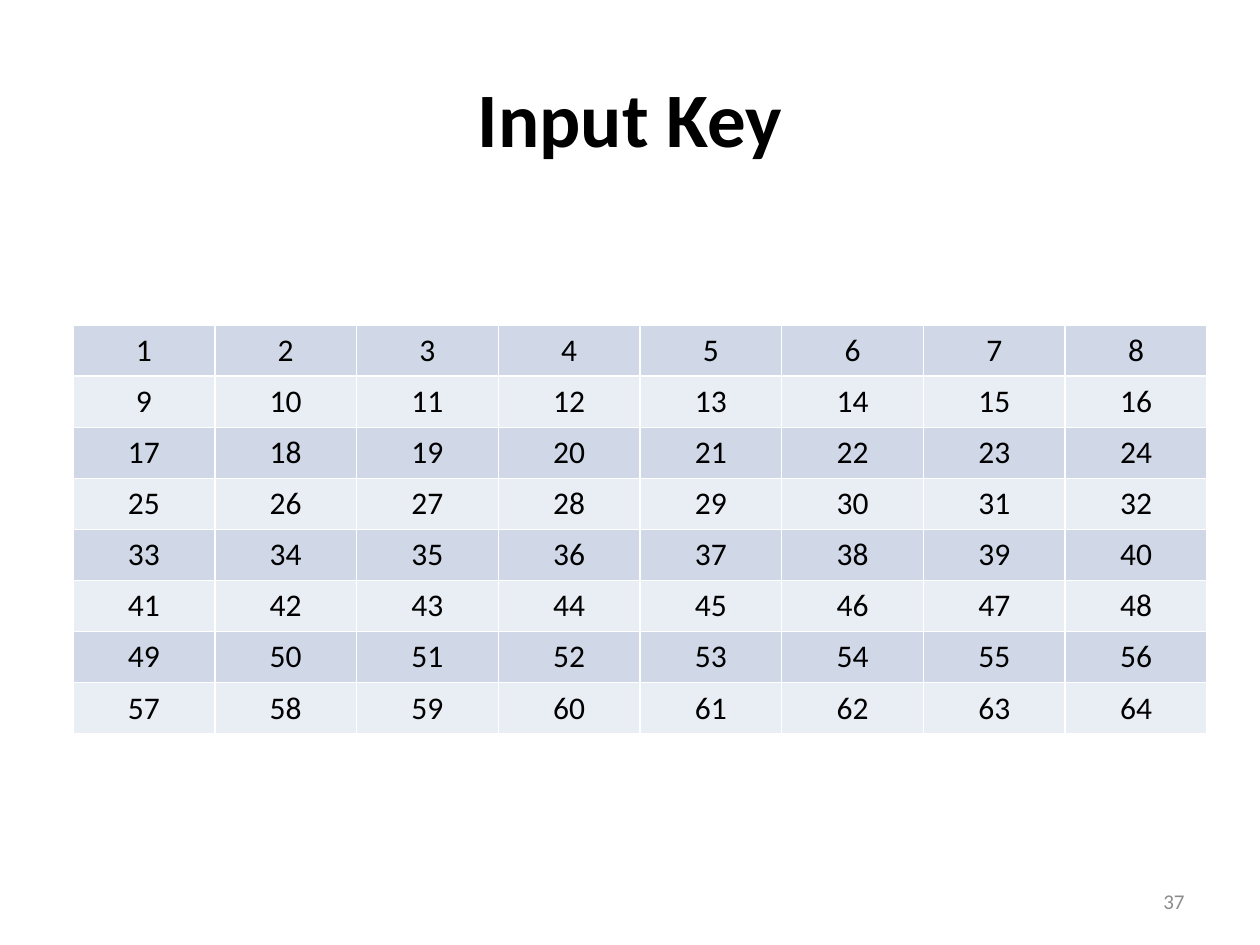
from lxml import etree
from pptx import Presentation
from pptx.dml.color import RGBColor
from pptx.enum import text
from pptx.oxml import ns
from pptx.util import Inches, Pt

BLACK = RGBColor(0x00, 0x00, 0x00)
GRAY = RGBColor(0x8C, 0x8C, 0x8C)
BAND_DARK = RGBColor(0xD0, 0xD8, 0xE8)
BAND_LIGHT = RGBColor(0xE9, 0xED, 0xF4)
BORDER = RGBColor(0xFF, 0xFF, 0xFF)
N = 8


def write(tf, content, size=18, color=BLACK, bold=False, align=text.PP_ALIGN.CENTER):
    p = tf.paragraphs[0]
    p.alignment = align
    r = p.add_run()
    r.text = content
    r.font.name = "Calibri"
    r.font.size = Pt(size)
    r.font.bold = bold
    r.font.color.rgb = color


def add_borders(cell):
    tcPr = cell._tc.get_or_add_tcPr()
    for side in ("lnL", "lnR", "lnT", "lnB"):
        ln = etree.SubElement(tcPr, ns.qn(f"a:{side}"), w=str(Pt(1)))
        fill = etree.SubElement(ln, ns.qn("a:solidFill"))
        etree.SubElement(fill, ns.qn("a:srgbClr"), val=str(BORDER))


prs = Presentation()
prs.slide_width, prs.slide_height = Inches(10), Inches(7.5)
s = prs.slides.add_slide(prs.slide_layouts[5])

title = s.shapes.title
title.left, title.top = Inches(0.5), Inches(0.3)
title.width, title.height = Inches(9), Inches(1.25)
title.text_frame.vertical_anchor = text.MSO_ANCHOR.MIDDLE
write(title.text_frame, "Input Key", size=44, bold=True)

table = s.shapes.add_table(
    N, N, Inches(0.58), Inches(2.58), Inches(9), Inches(3.24)
).table
table.first_row = False
for row in range(N):
    for col in range(N):
        cell = table.cell(row, col)
        write(cell.text_frame, str(row * N + col + 1))
        add_borders(cell)
        cell.fill.solid()
        cell.fill.fore_color.rgb = BAND_LIGHT if row % 2 else BAND_DARK

number = s.shapes.add_textbox(Inches(7.17), Inches(6.95), Inches(2.33), Inches(0.4))
tf = number.text_frame
tf.word_wrap = True
tf.vertical_anchor = text.MSO_ANCHOR.MIDDLE
write(tf, "37", size=12, color=GRAY, align=text.PP_ALIGN.RIGHT)

prs.save("out.pptx")
